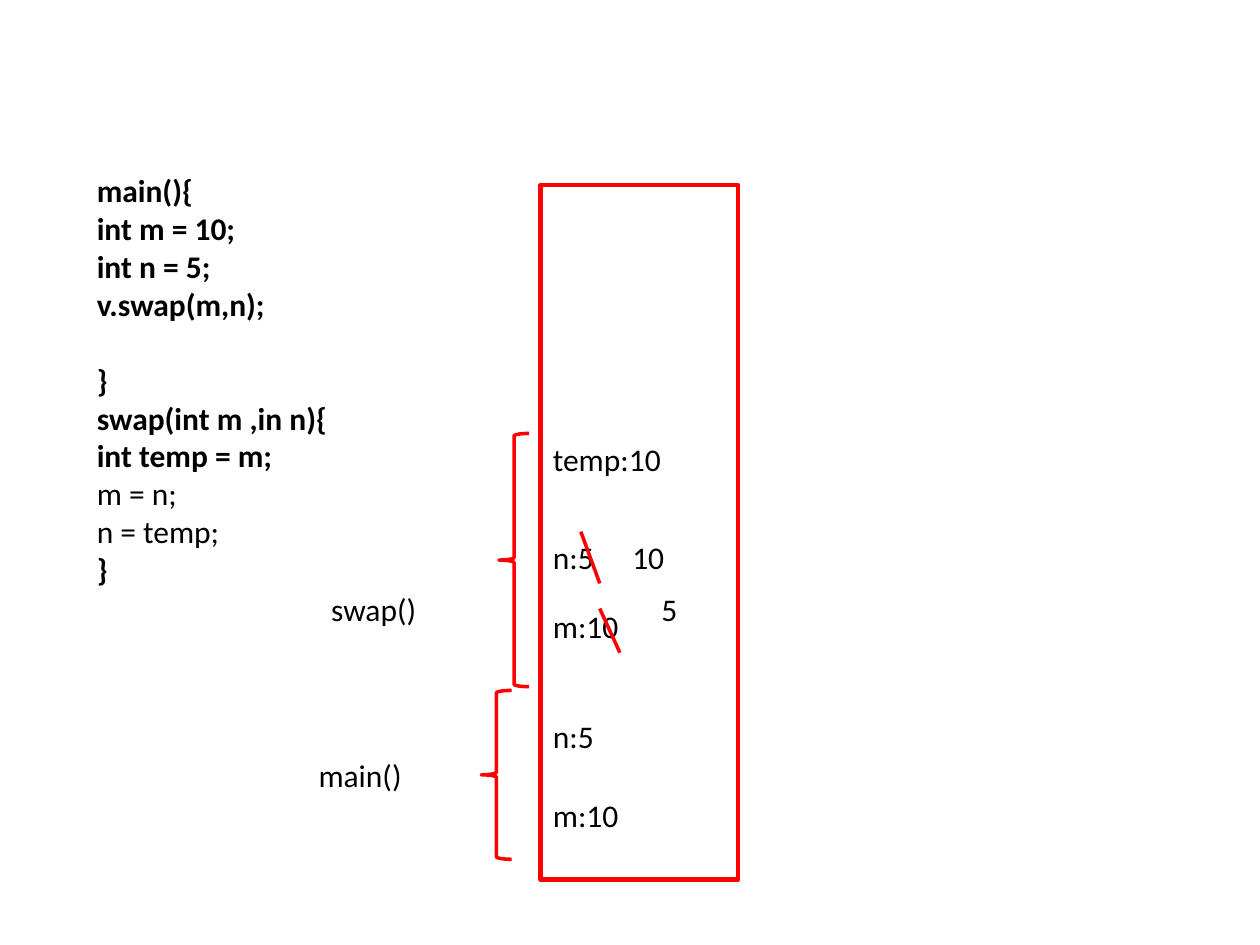
from dataclasses import dataclass

from lxml import etree
from pptx import Presentation
from pptx import util as u
from pptx.dml.color import RGBColor
from pptx.enum import shapes, text
from pptx.oxml.ns import qn


@dataclass(frozen=True)
class Theme:
    font: str = "Calibri"
    size: int = 18
    code_line: int = 22
    ink: RGBColor = RGBColor(0, 0, 0)
    accent: RGBColor = RGBColor(255, 0, 0)
    frame_width: float = 2.5
    mark_width: float = 2


THEME = Theme()
LABEL_HEIGHT = 0.4

# Each code line: wording, bold, blank lines above
CODE = [
    ("main(){", True, 0),
    ("int m = 10;", True, 0),
    ("int n = 5;", True, 0),
    ("v.swap(m,n);", True, 0),
    ("}", True, 1),
    ("swap(int m ,in n){", True, 0),
    ("int temp = m;", True, 0),
    ("m = n;", False, 0),
    ("n = temp;", False, 0),
    ("}", True, 0),
]


def add_text(slide, left, top, width, height, lines):
    box = slide.shapes.add_textbox(*map(u.Inches, (left, top, width, height)))
    frame = box.text_frame
    frame.word_wrap = True
    frame.auto_size = text.MSO_AUTO_SIZE.SHAPE_TO_FIT_TEXT
    frame.text = "\n".join(wording for wording, _, _ in lines)
    for paragraph, (_, bold, gap) in zip(frame.paragraphs, lines):
        if gap:
            paragraph.space_before = u.Pt(gap * THEME.code_line)
        font = paragraph.runs[0].font
        font.name = THEME.font
        font.size = u.Pt(THEME.size)
        font.bold = bold
        font.color.rgb = THEME.ink


def add_label(slide, left, top, width, wording):
    add_text(slide, left, top, width, LABEL_HEIGHT, [(wording, False, 0)])


def set_line(shape, width):
    shape.line.color.rgb = THEME.accent
    shape.line.width = u.Pt(width)


def add_outline(slide, kind, left, top, width, height, line_width):
    shape = slide.shapes.add_shape(kind, *map(u.Inches, (left, top, width, height)))
    shape.shadow.inherit = False
    shape.fill.background()
    set_line(shape, line_width)


def add_strike(slide, left, top, width, height):
    strike = slide.shapes.add_connector(
        shapes.MSO_CONNECTOR.STRAIGHT,
        *map(u.Inches, (left, top, left + width, top + height)))
    set_line(strike, THEME.mark_width)
    etree.SubElement(strike._element.spPr, qn("a:effectLst"))


def add_stack(slide, left, top, width, height):
    add_outline(slide, shapes.MSO_SHAPE.RECTANGLE,
                left, top, width, height, THEME.frame_width)
    # Variables, from the top of the stack to the bottom
    for offset, wording in [(1.97, "temp:10"), (2.75, "n:5"), (3.3, "m:10"),
                            (4.17, "n:5"), (4.8, "m:10")]:
        add_label(slide, left, top + offset, width, wording)
    # Old values struck out, new values beside them
    add_strike(slide, left + 0.32, top + 2.75, 0.15, 0.41)
    add_label(slide, left + 0.63, top + 2.75, 0.63, "10")
    add_strike(slide, left + 0.47, top + 3.36, 0.16, 0.35)
    add_label(slide, left + 0.86, top + 3.16, 0.41, "5")


def add_call_frame(slide, left, top, width, height, wording, label_left, label_top):
    add_outline(slide, shapes.MSO_SHAPE.LEFT_BRACE,
                left, top, width, height, THEME.mark_width)
    add_label(slide, left + label_left, top + label_top, 1.17, wording)


def main():
    presentation = Presentation()
    presentation.slide_width = u.Inches(10)
    presentation.slide_height = u.Inches(7.5)
    slide = presentation.slides.add_slide(presentation.slide_layouts[6])

    # Program on the left
    add_text(slide, 0.67, 1.31, 2.34, 3.43, CODE)
    # Memory stack
    add_stack(slide, 4.29, 1.47, 1.57, 5.51)
    # Braces naming the function that owns each part of the stack
    add_call_frame(slide, 3.96, 3.44, 0.24, 2.01, "swap()", -1.43, 1.19)
    add_call_frame(slide, 3.82, 5.48, 0.24, 1.34, "main()", -1.39, 0.47)

    presentation.save("out.pptx")


if __name__ == "__main__":
    main()
